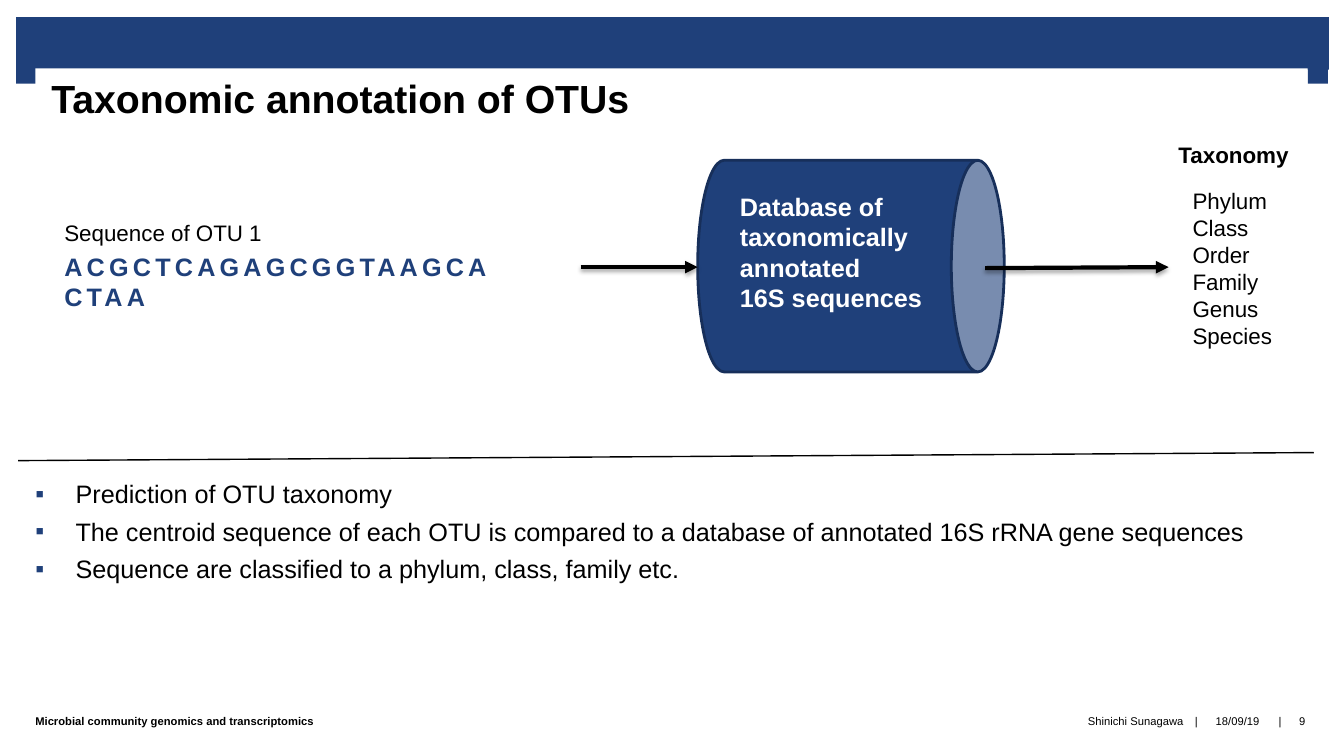
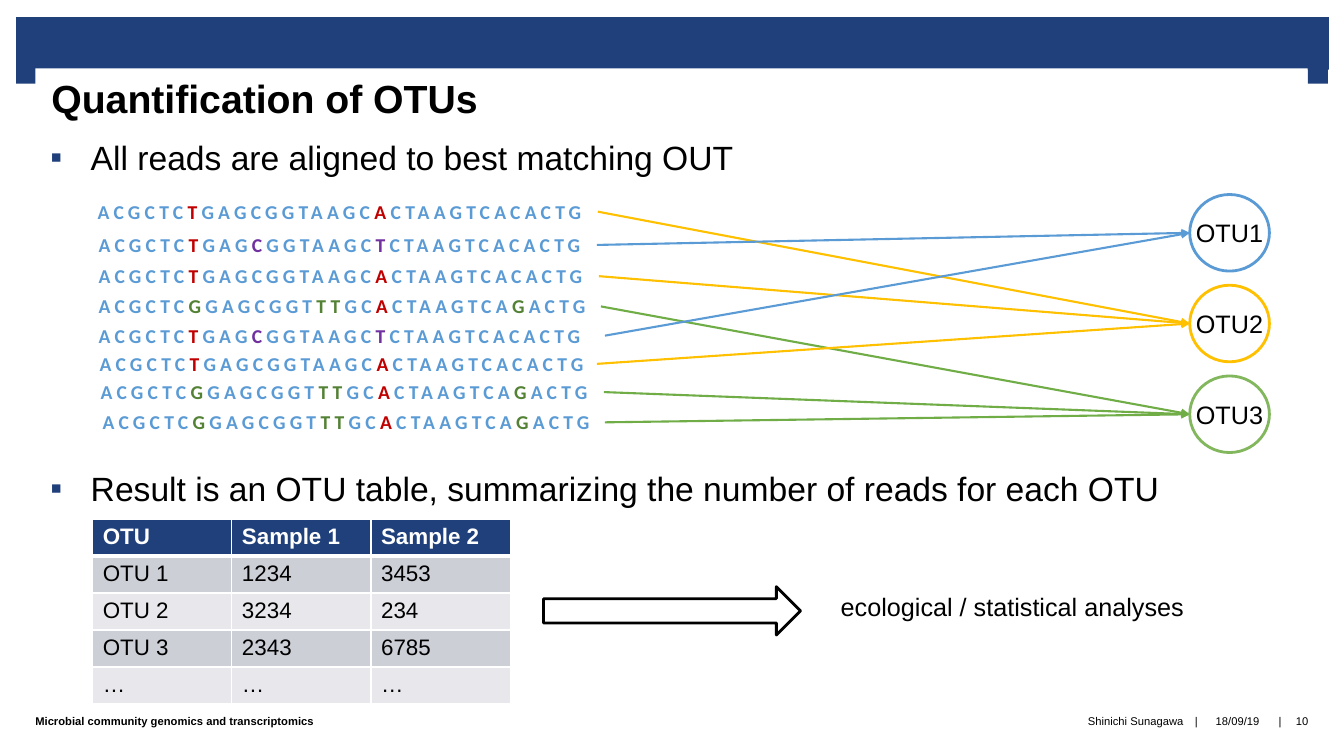
from lxml import etree
from pptx import Presentation
from pptx.dml.color import RGBColor
from pptx.enum.shapes import MSO_CONNECTOR, MSO_SHAPE
from pptx.enum.text import MSO_ANCHOR, PP_ALIGN
from pptx.oxml.ns import qn
from pptx.util import Inches, Pt

RECT, CAN, OVAL = MSO_SHAPE.RECTANGLE, MSO_SHAPE.CAN, MSO_SHAPE.OVAL
RIGHT_ARROW = MSO_SHAPE.RIGHT_ARROW
STRAIGHT = MSO_CONNECTOR.STRAIGHT
TOP, MIDDLE = MSO_ANCHOR.TOP, MSO_ANCHOR.MIDDLE
LEFT, CENTER, RIGHT = PP_ALIGN.LEFT, PP_ALIGN.CENTER, PP_ALIGN.RIGHT

NAVY = RGBColor(0x1F, 0x40, 0x7A)
DARK_NAVY = RGBColor(0x17, 0x2F, 0x5A)
BLACK = RGBColor(0, 0, 0)
WHITE = RGBColor(0xFF, 0xFF, 0xFF)
BLUE = RGBColor(0x5B, 0x9B, 0xD5)
GOLD = RGBColor(0xFF, 0xC0, 0x00)
GREEN = RGBColor(0x70, 0xAD, 0x47)
LIGHT_GREEN = RGBColor(0x82, 0xB7, 0x5E)
DARK_GREEN = RGBColor(0x54, 0x82, 0x35)
RED = RGBColor(0xC0, 0, 0)
PURPLE = RGBColor(0x70, 0x30, 0xA0)
BAND_DARK = RGBColor(0xCD, 0xCF, 0xD7)
BAND_LIGHT = RGBColor(0xE8, 0xE8, 0xEC)

READ_OTU1 = [("ACGCTC", BLUE), ("T", RED), ("GAG", BLUE), ("C", PURPLE),
             ("GGTAAGC", BLUE), ("T", PURPLE), ("CTAAGTCACACTG", BLUE)]
READ_OTU2 = [("ACGCTC", BLUE), ("T", RED), ("GAGCGGTAAGC", BLUE),
             ("A", RED), ("CTAAGTCACACTG", BLUE)]
READ_OTU3 = [("ACGCTC", BLUE), ("G", DARK_GREEN), ("GAGCGGT", BLUE),
             ("TT", DARK_GREEN), ("GC", BLUE), ("A", RED),
             ("CTAAGTCA", BLUE), ("G", DARK_GREEN), ("ACTG", BLUE)]
OTUS = [("OTU1", BLUE, BLUE, READ_OTU1),
        ("OTU2", GOLD, GOLD, READ_OTU2),
        ("OTU3", LIGHT_GREEN, GREEN, READ_OTU3)]
READS = [(0.87, 1.93, 5.93, 1), (0.88, 2.26, 5.92, 0),
         (0.88, 2.57, 5.94, 1), (0.88, 2.87, 5.96, 2),
         (0.88, 3.16, 6, 0), (0.89, 3.44, 5.92, 1),
         (0.9, 3.72, 5.99, 2), (0.92, 4.02, 6, 2)]
OTU_TABLE = [("OTU", "Sample 1", "Sample 2"),
             ("OTU 1", "1234", "3453"),
             ("OTU 2", "3234", "234"),
             ("OTU 3", "2343", "6785"),
             ("…", "…", "…")]


def add_xml(parent, tag, **attributes):
    return etree.SubElement(parent, qn(tag), **attributes)


def add_bullet(para):
    properties = para._p.get_or_add_pPr()
    properties.set("marL", str(Inches(0.4)))
    properties.set("indent", str(-Inches(0.4)))
    add_xml(add_xml(properties, "a:buClr"), "a:srgbClr", val=str(NAVY))
    add_xml(properties, "a:buFont", typeface="Arial")
    add_xml(properties, "a:buChar", char="▪")


def write(frame, text, size=18, color=BLACK, bold=False, font="Arial",
          align=LEFT, spacing=0, bullet=False):
    paragraphs = [text] if isinstance(text, str) else text
    for index, content in enumerate(paragraphs):
        para = frame.add_paragraph() if index else frame.paragraphs[0]
        para.alignment = align
        if bullet:
            para.space_before = Pt(5 if index else 0)
            add_bullet(para)
        spans = [(content, color)] if isinstance(content, str) else content
        for words, span_color in spans:
            span = para.add_run()
            span.text = words
            span.font.name = font
            span.font.size = Pt(size)
            span.font.bold = bold
            span.font.color.rgb = span_color
            if spacing:
                span._r.get_or_add_rPr().set("spc", str(spacing * 100))


class SlideBuilder:
    def __init__(self):
        self.deck = Presentation()
        self.deck.slide_width = Inches(13.33)
        self.deck.slide_height = Inches(7.5)
        self.page = None

    def start(self, title, number):
        self.page = self.deck.slides.add_slide(self.deck.slide_layouts[6])
        self.shape(RECT, 0.16, 0.17, 13.02, 0.52, fill=NAVY)
        for left in (0.16, 12.97):
            self.shape(RECT, left, 0.65, 0.2, 0.18, fill=NAVY)
        heading = self.text(title, 0.35, 0.68, 12.62, 0.67,
                            insets=(0.16, 0.06, 0.16, 0), size=28, bold=True)
        heading.fill.solid()
        heading.fill.fore_color.rgb = WHITE
        for words, left, width, align, bold in [
                ("Microbial community genomics and transcriptomics", 0.35, 6.31, LEFT, True),
                ("Shinichi Sunagawa", 6.67, 5.07, RIGHT, False),
                ("|", 11.79, 0.15, CENTER, False),
                ("18/09/19", 11.94, 0.67, CENTER, False),
                ("|", 12.62, 0.15, CENTER, False),
                (number, 12.72, 0.39, CENTER, False)]:
            self.text(words, left, 6.9, width, 0.5, insets=(0, 0, 0, 0),
                      anchor=MIDDLE, size=8, align=align, bold=bold)

    def text(self, text, left, top, width, height, insets=(0.1, 0.05, 0.1, 0.05),
             anchor=TOP, wrap=True, **style):
        box = self.page.shapes.add_textbox(
            Inches(left), Inches(top), Inches(width), Inches(height))
        frame = box.text_frame
        frame.word_wrap = wrap
        frame.vertical_anchor = anchor
        (frame.margin_left, frame.margin_top,
         frame.margin_right, frame.margin_bottom) = map(Inches, insets)
        write(frame, text, **style)
        return box

    def bullets(self, lines, left, top, height, size):
        self.text(lines, left, top, 12.62, height, insets=(0.15, 0, 0.16, 0),
                  size=size, bullet=True)

    def shape(self, kind, left, top, width, height, fill=None, line=None, label=None):
        shape = self.page.shapes.add_shape(
            kind, Inches(left), Inches(top), Inches(width), Inches(height))
        shape.shadow.inherit = False
        if fill is None:
            shape.fill.background()
        else:
            shape.fill.solid()
            shape.fill.fore_color.rgb = fill
        if line is None:
            shape.line.fill.background()
        else:
            shape.line.color.rgb = line
            shape.line.width = Pt(2)
        if label:
            frame = shape.text_frame
            frame.word_wrap = False
            frame.vertical_anchor = MIDDLE
            write(frame, label, align=CENTER)
        return shape

    def line(self, start, end, color=BLACK, width=1.0, arrow=True, shadow=False):
        connector = self.page.shapes.add_connector(
            STRAIGHT, *map(Inches, start), *map(Inches, end))
        connector.line.color.rgb = color
        connector.line.width = Pt(width)
        properties = connector.element.spPr
        if arrow:
            add_xml(properties.find(qn("a:ln")), "a:tailEnd", type="triangle")
        effects = add_xml(properties, "a:effectLst")
        if shadow:
            outer = add_xml(effects, "a:outerShdw", blurRad=str(Pt(3.1)),
                            dist=str(Pt(1.8)), dir="5400000", rotWithShape="0")
            tint = add_xml(outer, "a:srgbClr", val=str(BLACK))
            add_xml(tint, "a:alpha", val="35000")

    def table(self, rows, left, top, width, height):
        table = self.page.shapes.add_table(
            len(rows), len(rows[0]), Inches(left), Inches(top),
            Inches(width), Inches(height)).table
        for row, values in enumerate(rows):
            header = row == 0
            for column, value in enumerate(values):
                cell = table.cell(row, column)
                write(cell.text_frame, value, size=16, bold=header,
                      color=WHITE if header else BLACK)
                self.borders(cell, top=3 if row == 1 else 1, bottom=3 if header else 1)
                cell.fill.solid()
                cell.fill.fore_color.rgb = (
                    NAVY if header else BAND_DARK if row % 2 else BAND_LIGHT)

    def borders(self, cell, top, bottom):
        properties = cell._tc.get_or_add_tcPr()
        for tag, width in (("a:lnL", 1), ("a:lnR", 1), ("a:lnT", top), ("a:lnB", bottom)):
            edge = add_xml(properties, tag, w=str(Pt(width)))
            add_xml(add_xml(edge, "a:solidFill"), "a:srgbClr", val=str(WHITE))


def build_annotation(builder):
    builder.start("Taxonomic annotation of OTUs", "9")
    builder.bullets([
        "Prediction of OTU taxonomy",
        "The centroid sequence of each OTU is compared to a database of annotated 16S rRNA gene sequences",
        "Sequence are classified to a phylum, class, family etc."],
        0.2, 4.75, 1.5, 18)
    database = builder.shape(CAN, 7.39, 1.12, 2.1, 3.04, fill=NAVY, line=DARK_NAVY)
    database.rotation = 90
    builder.text(["Database of taxonomically annotated", "16S sequences"],
                 7.24, 1.85, 2.21, 1.31, color=WHITE, bold=True)
    builder.text("Sequence of OTU 1", 0.54, 2.13, 3.9, 0.37, size=16)
    builder.text("ACGCTCAGAGCGGTAAGCACTAA", 0.54, 2.44, 4.44, 0.7,
                 color=NAVY, bold=True, spacing=3)
    builder.text("Taxonomy", 11.59, 1.35, 1.6, 0.37, size=16, bold=True)
    builder.text(["Phylum", "Class", "Order", "Family", "Genus", "Species"],
                 11.73, 1.81, 1.03, 1.99, size=16)
    builder.line((5.76, 2.65), (6.92, 2.65), width=3, shadow=True)
    builder.line((9.77, 2.66), (11.59, 2.65), width=3, shadow=True)
    builder.line((0.18, 4.57), (13.03, 4.49), arrow=False)


def build_quantification(builder):
    builder.start("Quantification of OTUs", "10")
    builder.bullets(["All reads are aligned to best matching OUT"], 0.35, 1.36, 0.5, 24)
    builder.bullets(["Result is an OTU table, summarizing the number of reads for each OTU"],
                    0.35, 4.64, 0.5, 24)
    circle_left, circle_top, circle_step = 11.8, 1.93, 0.9
    circle_width, circle_height = 0.79, 0.76
    for left, top, arrow_left, otu in READS:
        arrow_color, read = OTUS[otu][2:]
        builder.text([read], left, top, 5.08, 0.34, wrap=False, size=14,
                     font="Calibri", bold=True, spacing=3)
        target = circle_top + otu * circle_step + circle_height / 2
        builder.line((arrow_left, top + 0.17), (circle_left, target),
                     color=arrow_color, width=1.5)
    for index, (label, outline, _, _) in enumerate(OTUS):
        builder.shape(OVAL, circle_left, circle_top + index * circle_step,
                      circle_width, circle_height, line=outline, label=label)
    builder.table(OTU_TABLE, 0.92, 5.15, 4.14, 1.83)
    builder.shape(RIGHT_ARROW, 5.39, 5.82, 2.55, 0.48, line=BLACK)
    builder.text("ecological / statistical analyses", 8.24, 5.82, 3.64, 0.4, wrap=False)


def main():
    builder = SlideBuilder()
    build_annotation(builder)
    build_quantification(builder)
    builder.deck.save("out.pptx")


if __name__ == "__main__":
    main()
